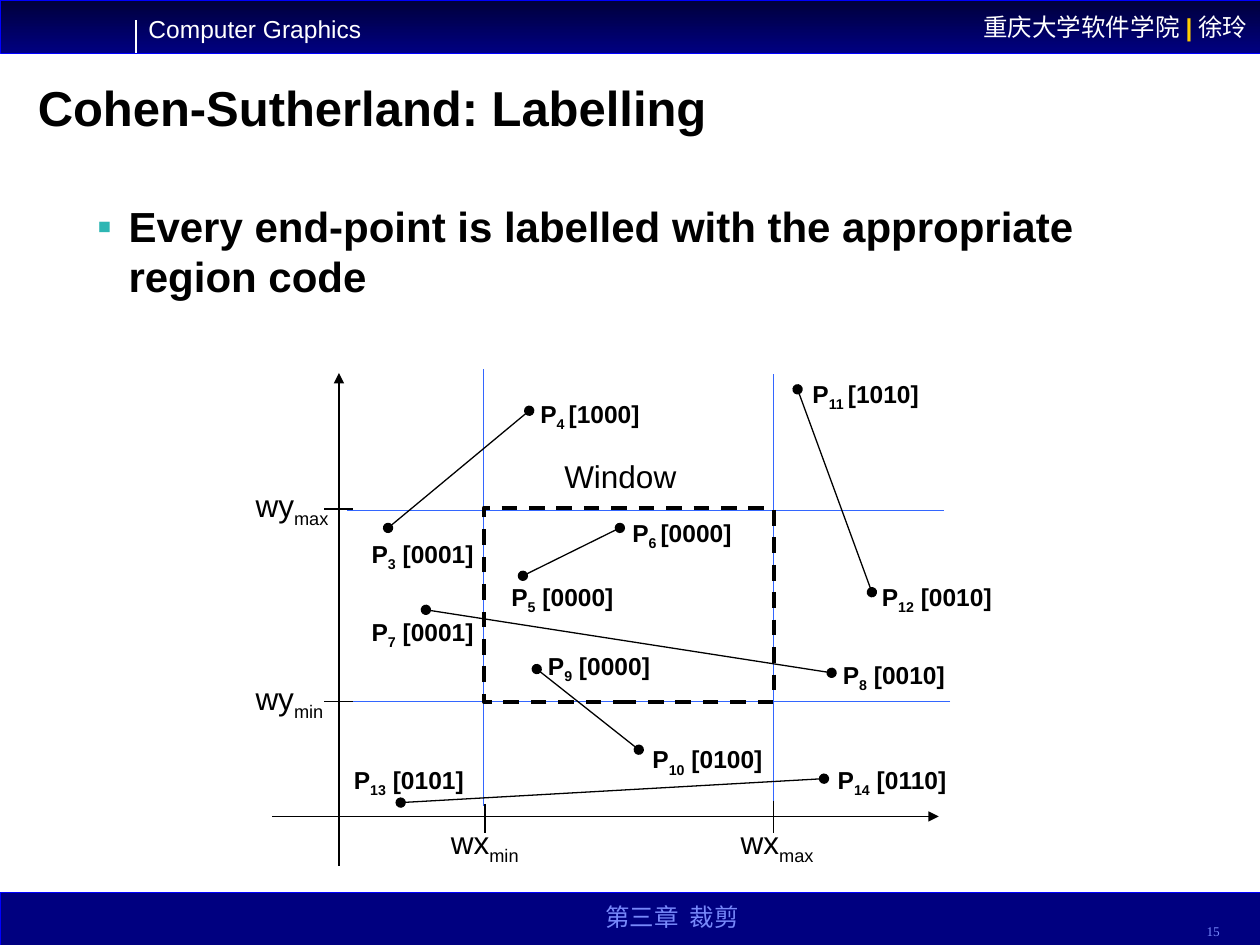
"""Build the Cohen-Sutherland labelling slide with its clipping diagram."""
from lxml.etree import SubElement
from pptx import Presentation
from pptx.dml.color import RGBColor
from pptx.enum.dml import MSO_LINE
from pptx.enum.shapes import MSO_CONNECTOR, MSO_SHAPE
from pptx.enum.text import MSO_ANCHOR as ANCHOR, MSO_AUTO_SIZE as AUTO, PP_ALIGN as ALIGN
from pptx.oxml.ns import qn
from pptx.util import Inches, Pt

BLACK = RGBColor(0, 0, 0)
WHITE = RGBColor(255, 255, 255)
NAVY = RGBColor(0, 0, 0x80)
MIDNIGHT = RGBColor(0, 0, 0x3B)
BORDER = RGBColor(0, 0, 255)
GOLD = RGBColor(255, 0xCC, 0)
PERIWINKLE = RGBColor(0x78, 0x89, 0xFB)
GRID = RGBColor(0x33, 0x66, 0xFF)
BULLET = "2DB6B3"

TITLE = "Cohen-Sutherland: Labelling"
BODY = "Every end-point is labelled with the appropriate region code"
HEADER = [("重庆大学软件学院", {}), ("|", {"color": GOLD, "bold": True}), ("徐玲", {})]
X_MIN, X_MAX, Y_MAX, Y_MIN = 3.84, 6.14, 4.05, 5.57
GRID_LINES = [
    ((X_MIN, 2.93), (X_MIN, 6.4)), ((X_MAX, 2.97), (X_MAX, 6.44)),
    ((7.49, Y_MAX), (2.75, Y_MAX)), ((7.54, Y_MIN), (2.8, Y_MIN)),
]
AXES = [((2.16, 6.48), (7.45, 6.48)), ((2.69, 6.87), (2.69, 2.96))]
TICKS = [
    ((2.8, 4.04), (2.57, 4.04)), ((2.8, Y_MIN), (2.57, Y_MIN)),
    ((3.85, 6.38), (3.85, 6.61)), ((X_MAX, 6.36), (X_MAX, 6.61)),
]
SEGMENTS = [
    ((4.15, 4.57), (4.92, 4.19)), ((3.08, 4.19), (4.2, 3.26)),
    ((4.26, 5.31), (5.07, 5.95)), ((3.38, 4.84), (6.6, 5.34)),
    ((6.92, 4.7), (6.33, 3.09)), ((3.18, 6.37), (6.54, 6.18)),
]
AXIS_LABELS = [
    ("wy", "max", 1.93, 3.81, 0.78), ("wy", "min", 1.93, 5.34, 0.74),
    ("wx", "min", 3.48, 6.48, 0.74), ("wx", "max", 5.78, 6.48, 0.78),
]
POINT_LABELS = [
    ("3", " [0001]", 2.85, 4.23), ("6 ", "[0000]", 4.92, 4.06),
    ("5", " [0000]", 3.96, 4.57), ("7", " [0001]", 2.85, 4.85),
    ("10", " [0100]", 5.08, 5.86), ("9", " [0000]", 4.25, 5.12),
    ("4 ", "[1000]", 4.19, 3.12), ("8", " [0010]", 6.59, 5.19),
    ("12", " [0010]", 6.9, 4.57), ("11 ", "[1010]", 6.35, 2.96),
    ("13", " [0101]", 2.71, 6.02), ("14", " [0110]", 6.55, 6.02),
]
SUBSCRIPT = {"baseline": -25000}


def write(frame, runs, size=14, color=BLACK, bold=False, font="Arial",
          align=ALIGN.LEFT, anchor=ANCHOR.TOP, wrap=True, spacing=1.0):
    frame.word_wrap = wrap
    frame.auto_size = AUTO.NONE if wrap else AUTO.SHAPE_TO_FIT_TEXT
    frame.vertical_anchor = anchor
    para = frame.paragraphs[0]
    para.alignment, para.line_spacing, para.space_before = align, spacing, Pt(0)
    for text, changes in [(runs, {})] if isinstance(runs, str) else runs:
        span = para.add_run()
        span.text = text
        span.font.name, span.font.size = font, Pt(size)
        span.font.bold = changes.get("bold", bold)
        span.font.color.rgb = changes.get("color", color)
        if "baseline" in changes:
            span._r.get_or_add_rPr().set("baseline", str(changes["baseline"]))
    return para


def add_text(page, place, runs, **style):
    box = page.shapes.add_textbox(*map(Inches, place))
    write(box.text_frame, runs, **style)


def add_rectangle(page, place, line_color, line_width):
    box = page.shapes.add_shape(MSO_SHAPE.RECTANGLE, *map(Inches, place))
    box.shadow.inherit = False
    box.line.color.rgb, box.line.width = line_color, Pt(line_width)
    return box


def add_line(page, start, end, color=BLACK, head=None, tail=None):
    line = page.shapes.add_connector(MSO_CONNECTOR.STRAIGHT, *map(Inches, start + end))
    line.line.color.rgb, line.line.width = color, Pt(0.75)
    for tag, kind in (("a:headEnd", head), ("a:tailEnd", tail)):
        if kind:
            SubElement(line.line._get_or_add_ln(), qn(tag), type=kind)
    SubElement(line._element.spPr, qn("a:effectLst"))


def move(shape, place):
    shape.left, shape.top, shape.width, shape.height = map(Inches, place)


def add_frame(page):
    band = add_rectangle(page, (0, 0, 10, 0.42), BORDER, 0.25)
    band.fill.gradient()
    band.fill.gradient_angle = 270
    for stop, color, position in zip(band.fill.gradient_stops, (MIDNIGHT, NAVY), (0, 1)):
        stop.color.rgb, stop.position = color, position
    write(band.text_frame, HEADER, color=WHITE, align=ALIGN.RIGHT, anchor=ANCHOR.MIDDLE)
    footer = add_rectangle(page, (0, 7.08, 10, 0.42), BORDER, 0.25)
    footer.fill.solid()
    footer.fill.fore_color.rgb = NAVY
    add_text(page, (1.08, 0.06, 1.89, 0.34), "Computer Graphics", color=WHITE, wrap=False)
    add_line(page, (1.08, 0.16), (1.08, 0.42), WHITE)
    notice = {"color": PERIWINKLE, "font": "Times New Roman", "anchor": ANCHOR.BOTTOM}
    add_text(page, (3.75, 7.06, 3.17, 0.38), "第三章  裁剪", align=ALIGN.CENTER, **notice)
    add_text(page, (8.78, 7.12, 1, 0.38), "15", size=7.6, align=ALIGN.RIGHT,
             spacing=0.8, **notice)


def fill_placeholders(page):
    title, body = page.shapes.title, page.placeholders[1]
    move(title, (0.2, 0.6, 9.02, 0.54))
    write(title.text_frame, TITLE, size=28, bold=True, anchor=ANCHOR.BOTTOM, spacing=0.9)
    move(body, (0.67, 1.54, 8.5, 1.1))
    para = write(body.text_frame, BODY, size=24, bold=True)
    para.space_after = Pt(4.5)
    props = para._p.get_or_add_pPr()
    props.set("marL", str(Inches(0.25)))
    props.set("indent", str(Inches(-0.25)))
    SubElement(SubElement(props, qn("a:buClr")), qn("a:srgbClr"), val=BULLET)
    SubElement(props, qn("a:buFont"), typeface="Arial")
    SubElement(props, qn("a:buChar"), char="▪")


def add_diagram(page):
    for start, end in GRID_LINES:
        add_line(page, start, end, GRID)
    for start, end in AXES:
        add_line(page, start, end, tail="triangle")
    window = add_rectangle(page, (X_MIN, 4.03, X_MAX - X_MIN, 1.54), BLACK, 2.25)
    window.fill.background()
    window.line.dash_style = MSO_LINE.DASH
    for start, end in TICKS:
        add_line(page, start, end)
    for name, limit, left, top, width in AXIS_LABELS:
        add_text(page, (left, top, width, 0.44), [(name, {}), (limit, SUBSCRIPT)],
                 size=18, wrap=False)
    add_text(page, (4.38, 3.58, 1.09, 0.4), "Window", size=18, wrap=False)
    for start, end in SEGMENTS:
        add_line(page, start, end, head="oval", tail="oval")
    for number, code, left, top in POINT_LABELS:
        width = 1.02 if len(number.strip()) == 1 else 1.1
        add_text(page, (left, top, width, 0.37),
                 [("P", {}), (number, SUBSCRIPT), (code, {})], bold=True, wrap=False)


def main():
    deck = Presentation()
    deck.slide_width, deck.slide_height = Inches(10), Inches(7.5)
    page = deck.slides.add_slide(deck.slide_layouts[1])
    add_frame(page)
    fill_placeholders(page)
    add_diagram(page)
    deck.save("out.pptx")


if __name__ == "__main__":
    main()
